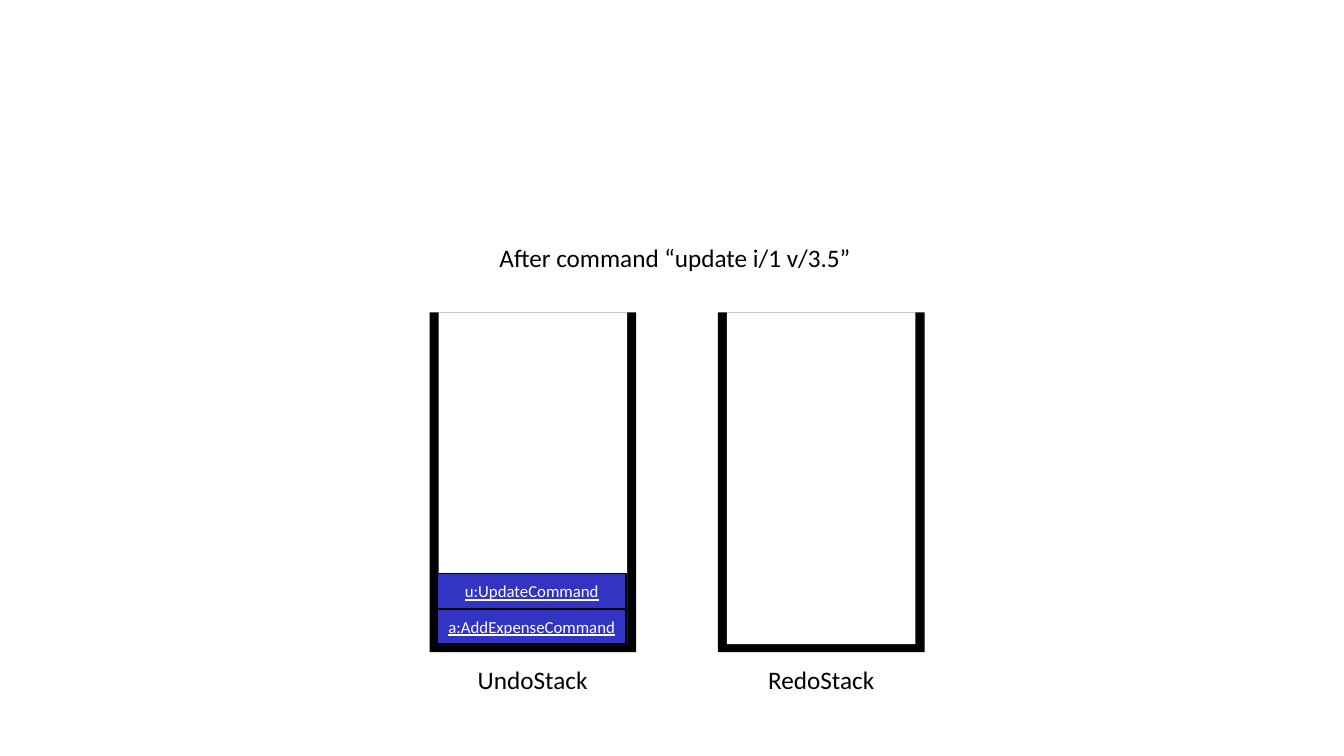
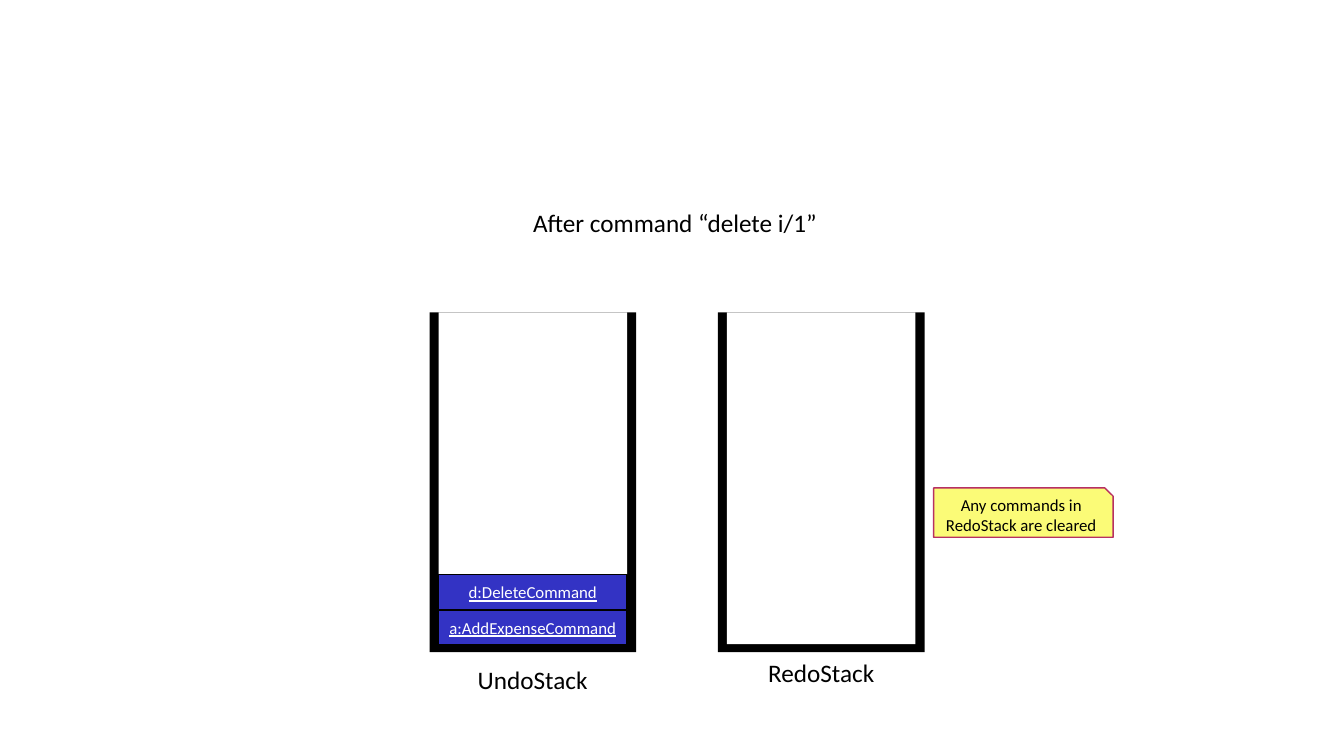
from pptx import Presentation
from pptx.dml.color import RGBColor
from pptx.enum import shapes, text
from pptx.util import Inches, Pt

COLOURS = {
    "black": "000000",
    "white": "FFFFFF",
    "command": "3333C4",
    "note": "FBFB77",
    "note_line": "B83062",
}
FONT = "Calibri"
UNDO_LEFT, REDO_LEFT = 4.26, 7.12
STACK_TOP, STACK_WIDTH, STACK_HEIGHT = 3.1, 2.05, 3.37
WALL, FLOOR = 0.09, 0.08
COMMAND_WIDTH, COMMAND_HEIGHT = 1.87, 0.35
LABEL_HEIGHT = 0.4


def colour(name):
    return RGBColor.from_string(COLOURS[name])


def write(shape, words, size, ink, align=text.PP_ALIGN.CENTER, underline=None):
    para = shape.text_frame.paragraphs[0]
    para.text = words
    para.alignment = align
    for span in para.runs:
        span.font.name = FONT
        span.font.size = Pt(size)
        span.font.color.rgb = colour(ink)
        span.font.underline = underline


def add_block(parent, kind, left, top, width, height, fill, line=None):
    """Add a filled shape to a slide or group, outlined only if line is given."""
    block = parent.shapes.add_shape(
        kind, Inches(left), Inches(top), Inches(width), Inches(height))
    block.shadow.inherit = False
    block.fill.solid()
    block.fill.fore_color.rgb = colour(fill)
    if line:
        block.line.color.rgb = colour(line)
        block.line.width = Pt(1)
    else:
        block.line.fill.background()
    return block


def add_label(page, words, left, top, width, wrap=False):
    box = page.shapes.add_textbox(
        Inches(left), Inches(top), Inches(width), Inches(LABEL_HEIGHT))
    box.text_frame.word_wrap = wrap
    box.text_frame.auto_size = text.MSO_AUTO_SIZE.SHAPE_TO_FIT_TEXT
    align = text.PP_ALIGN.CENTER if wrap else text.PP_ALIGN.LEFT
    write(box, words, 18, "black", align)


def add_stack(page, left):
    """Draw an open-topped container: a white well inside a black block."""
    group = page.shapes.add_group_shape()
    rectangle = shapes.MSO_SHAPE.RECTANGLE
    add_block(group, rectangle, left, STACK_TOP, STACK_WIDTH, STACK_HEIGHT, "black")
    add_block(group, rectangle, left + WALL, STACK_TOP,
              STACK_WIDTH - 2 * WALL, STACK_HEIGHT - FLOOR, "white")


def add_commands(page, commands, left, bottom):
    """Pile the commands upwards from bottom, oldest first."""
    for level, command in enumerate(commands, start=1):
        block = add_block(page, shapes.MSO_SHAPE.RECTANGLE, left,
                          bottom - level * COMMAND_HEIGHT,
                          COMMAND_WIDTH, COMMAND_HEIGHT, "command", "black")
        write(block, command, 12, "white", underline=True)


def add_note(page, words, left, top, width, height):
    note = add_block(page, shapes.MSO_SHAPE.SNIP_1_RECTANGLE,
                     left, top, width, height, "note", "note_line")
    write(note, words, 12, "black")


def add_stacks_page(deck, title, title_top, commands, pile_left, pile_bottom,
                    redo_label_top):
    page = deck.slides.add_slide(deck.slide_layouts[6])
    add_stack(page, REDO_LEFT)
    add_stack(page, UNDO_LEFT)
    add_commands(page, commands, pile_left, pile_bottom)
    add_label(page, "UndoStack", 4.64, 6.54, 1.3)
    add_label(page, "RedoStack", 7.52, redo_label_top, 1.27)
    add_label(page, title, 4.22, title_top, 4.95, wrap=True)
    return page


def main():
    deck = Presentation()
    deck.slide_width, deck.slide_height = Inches(13.33), Inches(7.5)
    add_stacks_page(deck, "After command “update i/1 v/3.5”", 2.35,
                    ["a:AddExpenseCommand", "u:UpdateCommand"], 4.34, 6.39, 6.54)
    page = add_stacks_page(deck, "After command “delete i/1”", 2.01,
                           ["a:AddExpenseCommand", "d:DeleteCommand"],
                           4.35, 6.4, 6.47)
    add_note(page, "Any commands in RedoStack are cleared", 9.26, 4.84, 1.78, 0.49)
    deck.save("out.pptx")


if __name__ == "__main__":
    main()
